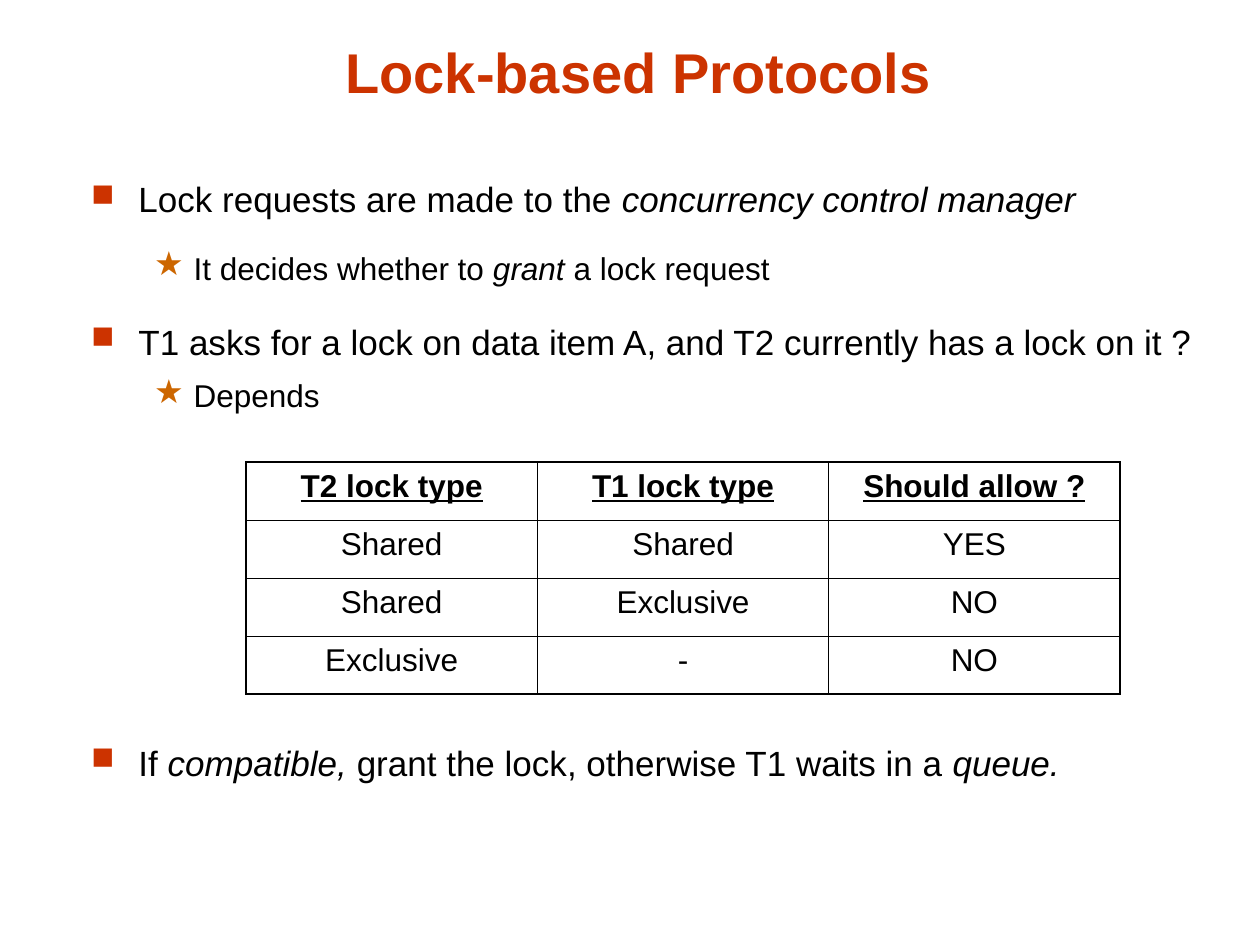
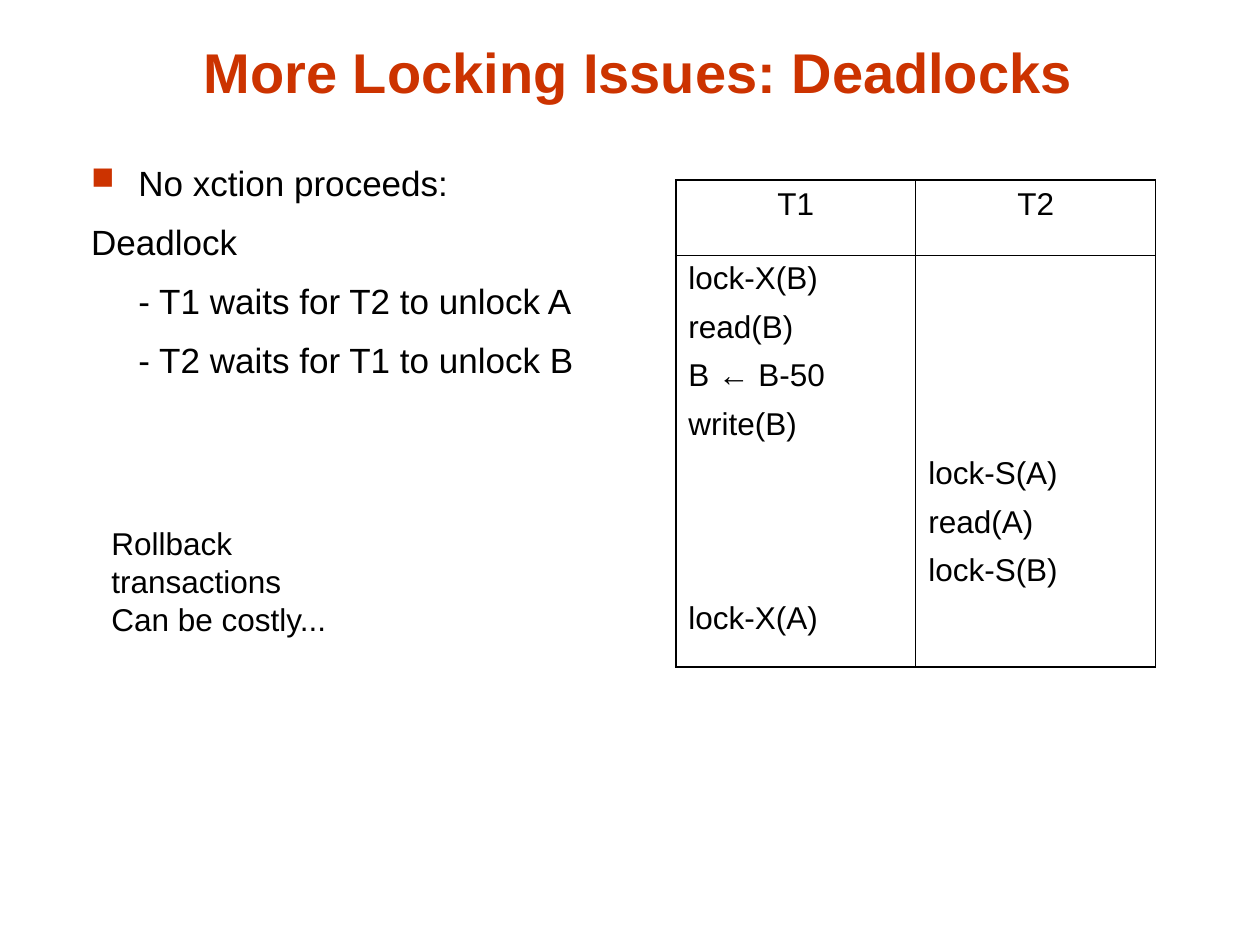
from lxml.etree import SubElement
from pptx import Presentation
from pptx.dml.color import RGBColor
from pptx.enum.text import MSO_ANCHOR, MSO_AUTO_SIZE, PP_ALIGN
from pptx.oxml.ns import qn
from pptx.util import Pt

COLORS = {"title": "CC3300", "text": "000000", "square": "CC3300", "star": "CC6600"}
FONT = "Arial"
BULLETS = {"square": ("■", 90), "star": ("★", 105)}
OUTER_BORDER, INNER_BORDER = 1.08, 0.45
BODY_SPACE, CELL_SPACE = 9.8, 7.5


def write_paragraph(frame, text, size=18, color="text", bold=False, underline=None,
                    align=PP_ALIGN.LEFT, before=0, spacing=None, left=0, hanging=0, bullet=None):
    """Write the next paragraph of a frame; parts between asterisks are italic."""
    paragraph = frame.add_paragraph() if frame.text else frame.paragraphs[0]
    paragraph.alignment = align
    paragraph.space_before = Pt(before)
    paragraph.line_spacing = spacing
    properties = paragraph._p.get_or_add_pPr()
    properties.set("marL", str(Pt(left)))
    properties.set("indent", str(Pt(-hanging)))
    if bullet:
        character, percent = BULLETS[bullet]
        bullet_color = SubElement(properties, qn("a:buClr"))
        SubElement(bullet_color, qn("a:srgbClr"), val=COLORS[bullet])
        SubElement(properties, qn("a:buSzPct"), val=str(percent * 1000))
        SubElement(properties, qn("a:buChar"), char=character)
    font = paragraph.font
    font.name, font.size, font.bold, font.underline = FONT, Pt(size), bold, underline
    font.color.rgb = RGBColor.from_string(COLORS[color])
    for index, part in enumerate(text.split("*")):
        if part:
            run = paragraph.add_run()
            run.text = part
            if index % 2:
                run.font.italic = True


def add_grid(slide, left, top, column_width, row_heights, columns):
    """Add an unfilled table with a thicker outer border."""
    rows = len(row_heights)
    table = slide.shapes.add_table(rows, columns, Pt(left), Pt(top),
                                   Pt(column_width * columns), Pt(sum(row_heights))).table
    table.first_row = table.horz_banding = False
    for column in table.columns:
        column.width = Pt(column_width)
    for r, height in enumerate(row_heights):
        table.rows[r].height = Pt(height)
        for c in range(columns):
            cell = table.cell(r, c)
            properties = cell._tc.get_or_add_tcPr()
            on_edge = {"L": c == 0, "R": c == columns - 1, "T": r == 0, "B": r == rows - 1}
            for side, outer in on_edge.items():
                width = OUTER_BORDER if outer else INNER_BORDER
                line = SubElement(properties, qn(f"a:ln{side}"), w=str(Pt(width)))
                fill = SubElement(line, qn("a:solidFill"))
                SubElement(fill, qn("a:srgbClr"), val=COLORS["text"])
            cell.fill.background()
    return table


presentation = Presentation()
presentation.slide_width, presentation.slide_height = Pt(720), Pt(540)

# Titles and body text
square = dict(size=20, before=BODY_SPACE, left=27, hanging=27, bullet="square")
star = dict(before=7.9, left=58.5, hanging=22.5, bullet="star")
plain = dict(size=20, before=BODY_SPACE)
contents = [
    ("Lock-based Protocols", 675, [
        ("Lock requests are made to the *concurrency control manager*", square | {"spacing": 1.4}),
        ("It decides whether to *grant *a lock request", star | {"spacing": 1.4}),
        ("T1 asks for a lock on data item A, and T2 currently has a lock on it ?",
         square | {"spacing": 1.4}),
        ("Depends", star),
        ("If *compatible, *grant the lock, otherwise T1 waits in a *queue.*",
         square | {"before": 187}),
    ]),
    ("More Locking Issues: Deadlocks", 330, [
        ("No xction proceeds:", square),
        ("Deadlock", plain),
        ("- T1 waits for T2 to unlock A", plain | {"left": 27}),
        ("- T2 waits for T1 to unlock B", plain | {"left": 27}),
    ]),
]
slides = []
for title_text, body_width, body_lines in contents:
    slide = presentation.slides.add_slide(presentation.slide_layouts[5])
    slides.append(slide)
    title = slide.shapes.title
    title.left, title.top, title.width, title.height = Pt(46.8), Pt(15), Pt(636), Pt(48.5)
    title.text_frame.vertical_anchor = MSO_ANCHOR.BOTTOM
    title.text_frame.auto_size = MSO_AUTO_SIZE.NONE
    write_paragraph(title.text_frame, title_text, 32, "title", True, align=PP_ALIGN.CENTER)
    body = slide.shapes.add_textbox(Pt(45), Pt(88.5), Pt(body_width), Pt(384))
    body.text_frame.word_wrap = True
    for text, style in body_lines:
        write_paragraph(body.text_frame, text, **style)
protocols, deadlocks = slides

# Lock compatibility table
lock_rows = [
    ("T2 lock type", "T1 lock type", "Should allow ?"),
    ("Shared", "Shared", "YES"),
    ("Shared", "Exclusive", "NO"),
    ("Exclusive", "-", "NO"),
]
lock_table = add_grid(protocols, 140.6, 264.2, 166.5, [33.15] * len(lock_rows), 3)
for r, row in enumerate(lock_rows):
    for c, text in enumerate(row):
        write_paragraph(lock_table.cell(r, c).text_frame, text, bold=r == 0,
                        underline=r == 0, align=PP_ALIGN.CENTER)

# Deadlock schedule: each step of a transaction with the space above it
schedule = {
    "T1": [("lock-X(B)", 0), ("read(B)", CELL_SPACE), ("B ← B-50", CELL_SPACE),
           ("write(B)", CELL_SPACE), ("lock-X(A)", 90.7)],
    "T2": [("lock-S(A)", 0), ("read(A)", CELL_SPACE), ("lock-S(B)", CELL_SPACE)],
}
schedule_table = add_grid(deadlocks, 386.2, 103, 137.1, [42.7, 235.3], len(schedule))
for c, (transaction, steps) in enumerate(schedule.items()):
    write_paragraph(schedule_table.cell(0, c).text_frame, transaction, align=PP_ALIGN.CENTER)
    for text, before in steps:
        write_paragraph(schedule_table.cell(1, c).text_frame, text, before=before)
schedule_table.cell(1, 1).margin_top = Pt(115)

# Rollback remark
remark = deadlocks.shapes.add_textbox(Pt(56.6), Pt(296), Pt(185), Pt(50.4))
remark.text_frame.word_wrap = False
for text in ("Rollback transactions", "Can be costly..."):
    write_paragraph(remark.text_frame, text)

presentation.save("out.pptx")
